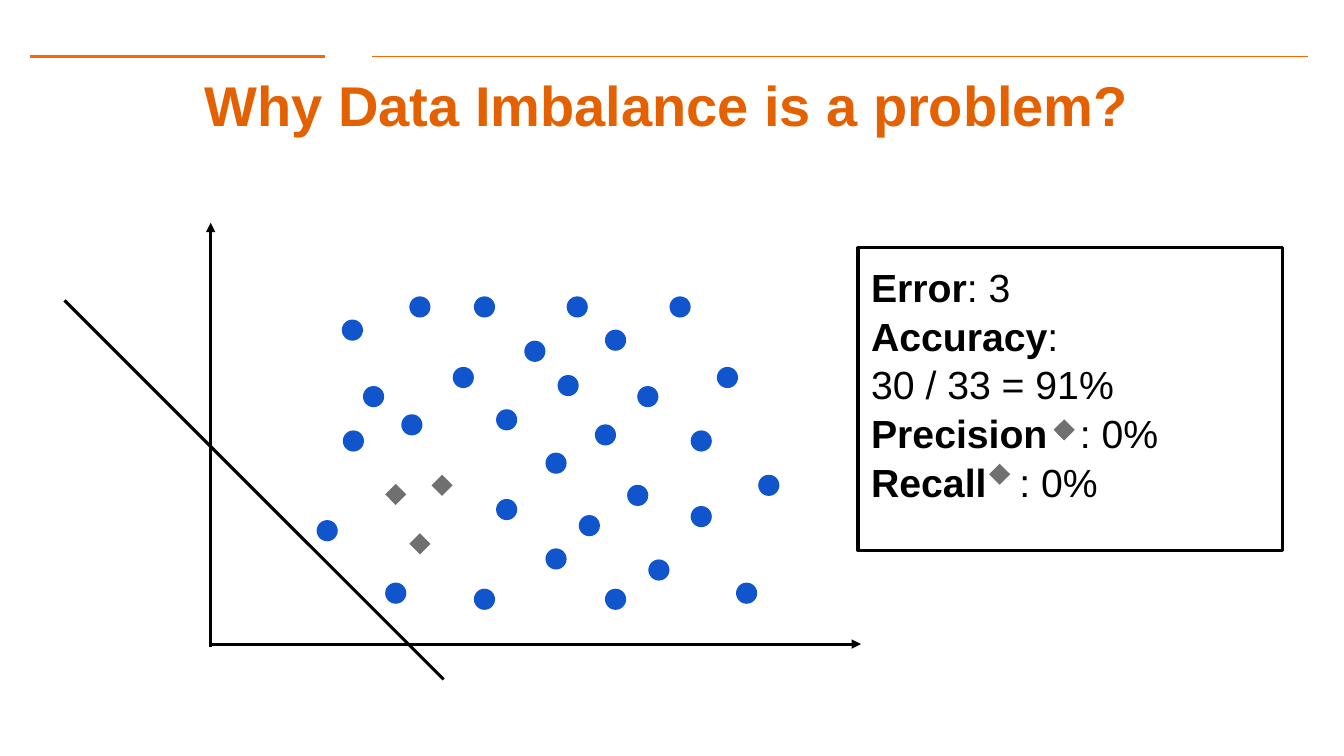
from dataclasses import dataclass

from lxml import etree
from pptx import Presentation
from pptx.dml.color import RGBColor
from pptx.enum.shapes import MSO_CONNECTOR, MSO_SHAPE
from pptx.enum.text import MSO_ANCHOR, PP_ALIGN
from pptx.oxml.ns import qn
from pptx.slide import Slide
from pptx.text.text import TextFrame, _Paragraph
from pptx.util import Inches, Pt

STRAIGHT = MSO_CONNECTOR.STRAIGHT
ELLIPSE = MSO_SHAPE.OVAL
DIAMOND = MSO_SHAPE.DIAMOND
RECTANGLE = MSO_SHAPE.RECTANGLE
TOP = MSO_ANCHOR.TOP
MIDDLE = MSO_ANCHOR.MIDDLE
LEFT = PP_ALIGN.LEFT
CENTER = PP_ALIGN.CENTER

RULE_ORANGE = RGBColor(0xF6, 0x69, 0x00)
TITLE_ORANGE = RGBColor(0xE4, 0x61, 0x02)
MAJORITY_BLUE = RGBColor(0x11, 0x55, 0xCC)
MINORITY_GRAY = RGBColor(0x6F, 0x70, 0x6F)
BLACK = RGBColor(0x00, 0x00, 0x00)

FONT = "Arial"
MARKER_SIZE = 0.21
INSET = 0.13
BOX_LEFT = 8.51


@dataclass(frozen=True)
class Line:
    start: tuple[float, float]
    end: tuple[float, float]
    color: RGBColor = BLACK
    width: float = 2.25
    arrow: bool = False


@dataclass(frozen=True)
class Metric:
    name: str
    value: str
    value_left: float | None = None


HEADER_RULES = [
    Line((0.3, 0.56), (3.22, 0.56), RULE_ORANGE, 2),
    Line((3.69, 0.56), (12.97, 0.56), RULE_ORANGE, 1),
]
AXES = [
    Line((2.09, 6.42), (2.09, 2.21), arrow=True),
    Line((2.07, 6.39), (8.54, 6.39), arrow=True),
]
DECISION_BOUNDARY = Line((0.64, 2.98), (4.4, 6.74))

MAJORITY_POINTS = [
    (4.06, 2.94), (3.39, 3.17), (3.6, 3.83), (3.98, 4.11), (3.4, 4.27),
    (4.49, 3.64), (5.2, 3.38), (4.7, 2.94), (5.62, 2.94), (3.14, 5.16),
    (4.92, 4.95), (4.92, 4.06), (5.41, 4.49), (5.9, 4.21), (4.7, 5.84),
    (3.82, 5.78), (5.41, 5.44), (6.22, 4.81), (6, 5.84), (5.53, 3.72),
    (6, 3.27), (6.43, 5.55), (6.32, 3.83), (6.64, 2.94), (5.74, 5.11),
    (6.85, 4.27), (7.11, 3.64), (6.85, 5.02), (7.52, 4.71), (7.3, 5.78),
]
MINORITY_POINTS = [(4.06, 5.29), (3.82, 4.8), (4.28, 4.71)]
METRIC_MARKERS = [(9.81, 4.6), (10.45, 4.16)]

METRICS = [
    Metric("Error", ": 3"),
    Metric("Accuracy", ":"),
    Metric("", "30 / 33 = 91%"),
    Metric("Precision", ": 0%", 10.71),
    Metric("Recall", ": 0%", 10.11),
]


def draw_line(slide: Slide, line: Line) -> None:
    connector = slide.shapes.add_connector(
        STRAIGHT, *(Inches(value) for value in line.start + line.end)
    )
    connector.line.color.rgb = line.color
    connector.line.width = Pt(line.width)
    properties = connector._element.spPr
    if line.arrow:
        outline = properties.find(qn("a:ln"))
        etree.SubElement(outline, qn("a:tailEnd"), type="triangle")
    etree.SubElement(properties, qn("a:effectLst"))


def draw_markers(
    slide: Slide, points: list[tuple[float, float]], kind: MSO_SHAPE, color: RGBColor
) -> None:
    size = Inches(MARKER_SIZE)
    for left, top in points:
        marker = slide.shapes.add_shape(kind, Inches(left), Inches(top), size, size)
        marker.shadow.inherit = False
        marker.fill.solid()
        marker.fill.fore_color.rgb = color
        marker.line.fill.background()


def prepare_frame(frame: TextFrame, anchor: MSO_ANCHOR) -> None:
    frame.word_wrap = True
    frame.vertical_anchor = anchor
    frame.margin_left = frame.margin_right = Inches(INSET)
    frame.margin_top = frame.margin_bottom = Inches(INSET)


def add_text(
    paragraph: _Paragraph, text: str, size: float, color: RGBColor, bold: bool
) -> None:
    run = paragraph.add_run()
    run.text = text
    run.font.name = FONT
    run.font.size = Pt(size)
    run.font.color.rgb = color
    run.font.bold = bold


def draw_title(slide: Slide) -> None:
    title = slide.shapes.add_textbox(Inches(0.61), Inches(0.76), Inches(12), Inches(0.55))
    prepare_frame(title.text_frame, MIDDLE)
    paragraph = title.text_frame.paragraphs[0]
    paragraph.alignment = CENTER
    add_text(paragraph, "Why Data Imbalance is a problem?", 40, TITLE_ORANGE, True)


def add_tab_stop(paragraph: _Paragraph, position: float) -> None:
    properties = paragraph._p.get_or_add_pPr()
    tabs = etree.SubElement(properties, qn("a:tabLst"))
    etree.SubElement(tabs, qn("a:tab"), pos=str(Inches(position)), algn="l")


def draw_metrics(slide: Slide) -> None:
    box = slide.shapes.add_shape(
        RECTANGLE, Inches(BOX_LEFT), Inches(2.46), Inches(4.21), Inches(3)
    )
    box.shadow.inherit = False
    box.fill.background()
    box.line.color.rgb = BLACK
    box.line.width = Pt(2.25)
    frame = box.text_frame
    prepare_frame(frame, TOP)
    for index, metric in enumerate(METRICS):
        paragraph = frame.add_paragraph() if index else frame.paragraphs[0]
        paragraph.alignment = LEFT
        paragraph.line_spacing = 1.04
        value = metric.value
        if metric.value_left is not None:
            add_tab_stop(paragraph, metric.value_left - BOX_LEFT - INSET)
            value = "\t" + value
        if metric.name:
            add_text(paragraph, metric.name, 28, BLACK, True)
        add_text(paragraph, value, 28, BLACK, False)


def main() -> None:
    presentation = Presentation()
    presentation.slide_width = Inches(13.33)
    presentation.slide_height = Inches(7.5)
    slide = presentation.slides.add_slide(presentation.slide_layouts[6])
    for line in HEADER_RULES:
        draw_line(slide, line)
    draw_title(slide)
    for line in AXES:
        draw_line(slide, line)
    draw_markers(slide, MAJORITY_POINTS, ELLIPSE, MAJORITY_BLUE)
    draw_markers(slide, MINORITY_POINTS, DIAMOND, MINORITY_GRAY)
    draw_line(slide, DECISION_BOUNDARY)
    draw_metrics(slide)
    draw_markers(slide, METRIC_MARKERS, DIAMOND, MINORITY_GRAY)
    presentation.save("out.pptx")


if __name__ == "__main__":
    main()
